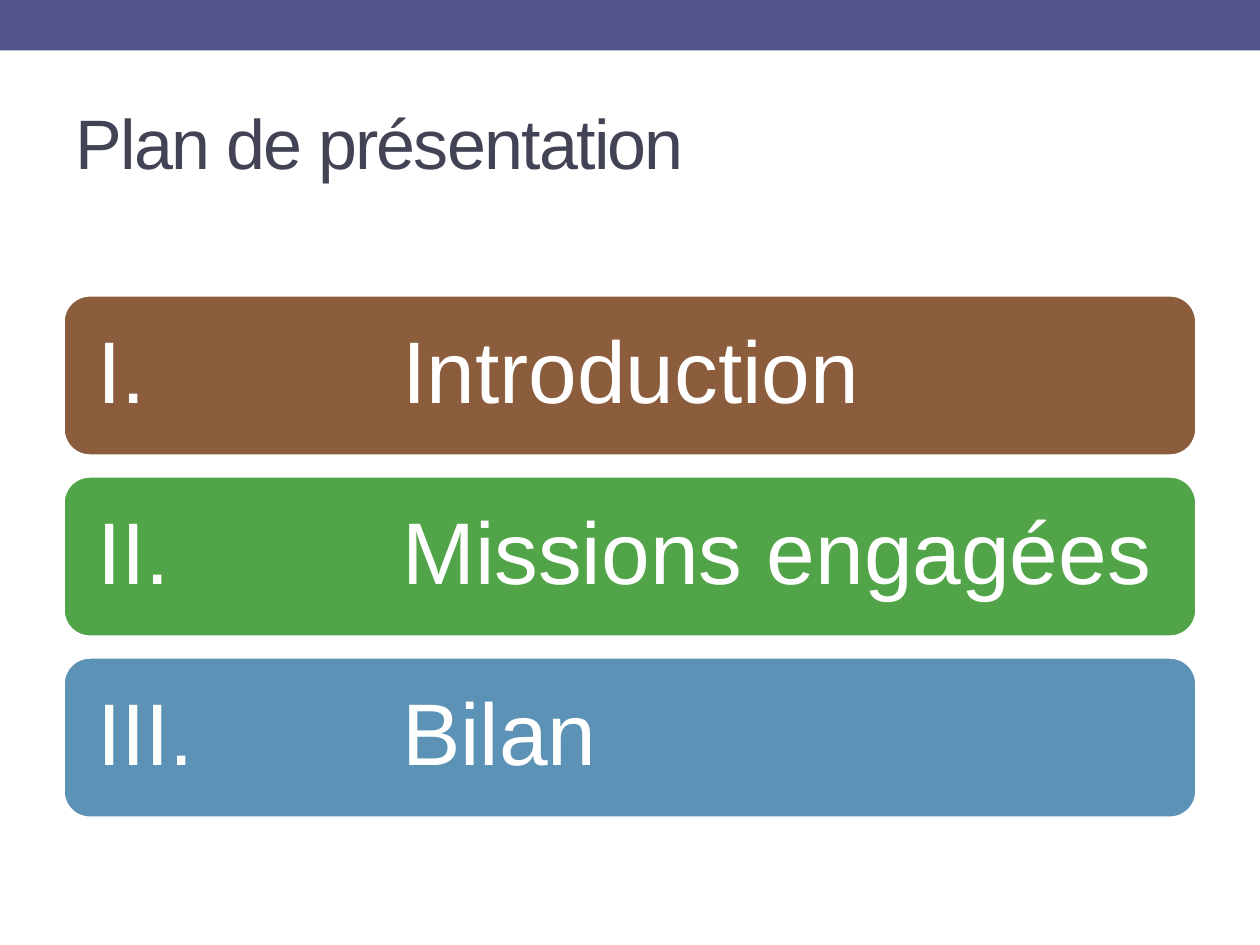
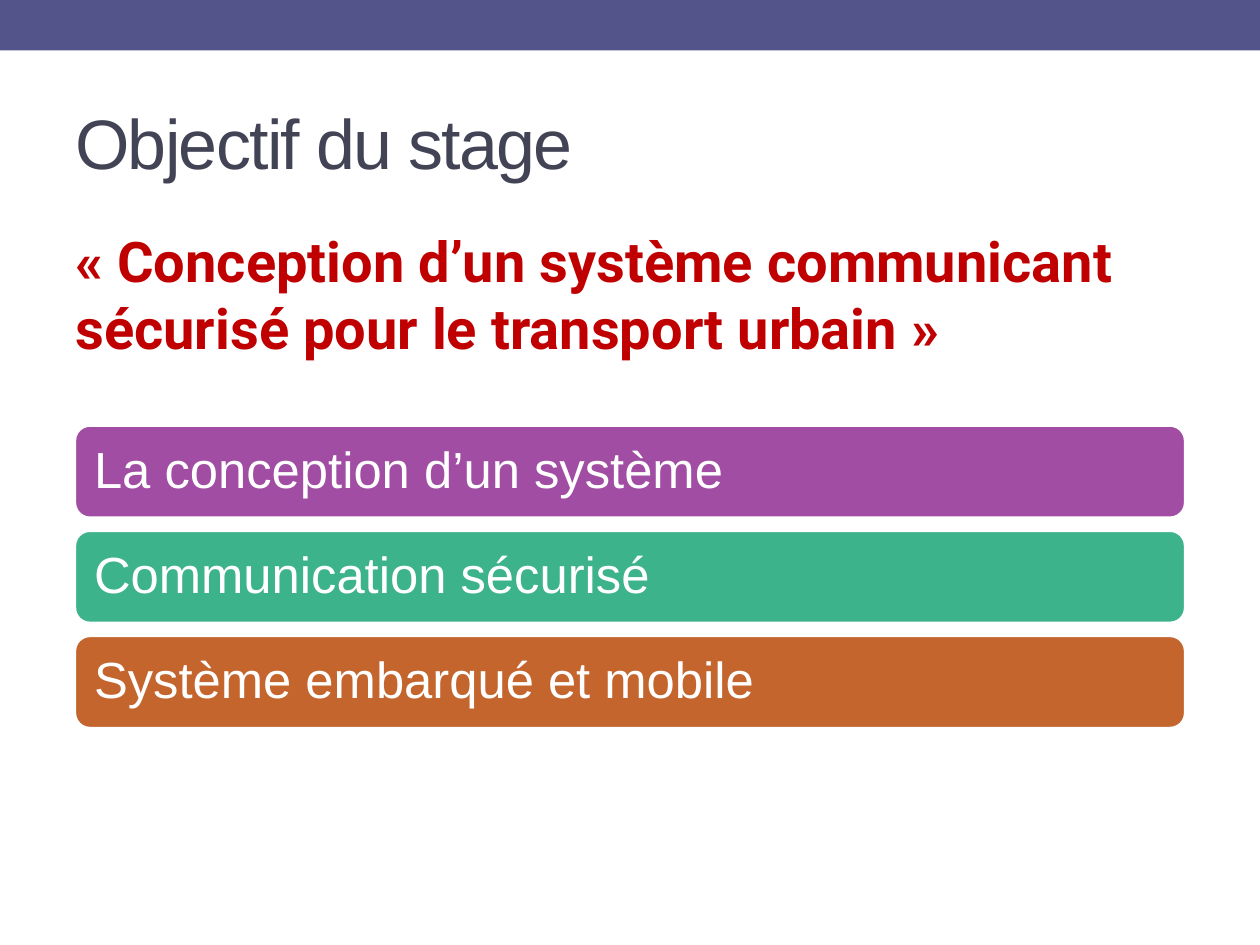
from dataclasses import dataclass

from lxml import etree
from pptx import Presentation
from pptx.dml.color import RGBColor
from pptx.enum.shapes import MSO_SHAPE
from pptx.enum.text import MSO_ANCHOR, PP_ALIGN
from pptx.oxml.ns import qn
from pptx.util import Inches, Pt

RECTANGLE, ROUNDED = MSO_SHAPE.RECTANGLE, MSO_SHAPE.ROUNDED_RECTANGLE
TOP, MIDDLE = MSO_ANCHOR.TOP, MSO_ANCHOR.MIDDLE
LEFT = PP_ALIGN.LEFT

WIDTH, HEIGHT = Inches(10), Inches(7.5)
BLANK_LAYOUT = 6

BAND_COLOR, TITLE_COLOR = "53548A", "424456"
QUOTE_COLOR, WHITE = "C00000", "FFFFFF"


@dataclass(frozen=True)
class Box:
    """A frame in percent of the slide's width and height."""
    left: float
    top: float
    width: float
    height: float

    def frame(self) -> tuple[int, int, int, int]:
        return (int(WIDTH * self.left / 100), int(HEIGHT * self.top / 100),
                int(WIDTH * self.width / 100), int(HEIGHT * self.height / 100))


@dataclass(frozen=True)
class TextStyle:
    size: float
    color: str
    font: str = "Arial"
    bold: bool = False
    tracking: float = 0
    anchor: MSO_ANCHOR = MIDDLE
    line_spacing: float = 1.0
    space_before: float = 0


@dataclass(frozen=True)
class BarList:
    """Equal bars stacked at a constant pitch."""
    first: Box
    pitch: float
    inset: float
    style: TextStyle
    bars: tuple[tuple[str, str], ...]
    tab: float = 0


BAND_BOX = Box(0, 0, 100, 5.33)
TITLE_BOX = Box(5, 7.73, 90, 14.4)
QUOTE_BOX = Box(5, 23.33, 90, 18.27)

TITLE_STYLE = TextStyle(40, TITLE_COLOR, tracking=-1)
QUOTE_STYLE = TextStyle(32, QUOTE_COLOR, "Roboto", bold=True, anchor=TOP, space_before=6.4)

PLAN = BarList(
    Box(5, 31.2, 90, 17.07), 19.16, 0.21, TextStyle(50, WHITE, line_spacing=0.9),
    (("I.\tIntroduction", "8B5D3D"),
     ("II.\tMissions engagées", "52A449"),
     ("III.\tBilan", "5C92B5")),
    tab=2.42)
GOALS = BarList(
    Box(5.9, 44.98, 88.2, 9.87), 11.13, 0.12, TextStyle(29, WHITE, line_spacing=0.9),
    (("La conception d’un système", "A04DA3"),
     ("Communication sécurisé", "3DB38C"),
     ("Système embarqué et mobile", "C4652D")))


def rgb(color: str) -> RGBColor:
    return RGBColor.from_string(color)


def apply(target, values: dict) -> None:
    for name, value in values.items():
        setattr(target, name, value)


def write(shape, text: str, style: TextStyle, insets: tuple[float, float] = (0.1, 0.05)) -> None:
    """Put one styled paragraph in a shape; insets are horizontal and vertical inches."""
    across, down = map(Inches, insets)
    frame = shape.text_frame
    apply(frame, {"word_wrap": True, "vertical_anchor": style.anchor,
                  "margin_left": across, "margin_right": across,
                  "margin_top": down, "margin_bottom": down})
    paragraph = frame.paragraphs[0]
    apply(paragraph, {"alignment": LEFT, "line_spacing": style.line_spacing,
                      "space_before": Pt(style.space_before)})
    run = paragraph.add_run()
    run.text = text
    apply(run.font, {"name": style.font, "size": Pt(style.size), "bold": style.bold})
    run.font.color.rgb = rgb(style.color)
    if style.tracking:
        run._r.get_or_add_rPr().set("spc", str(int(style.tracking * 100)))


def add_text(slide, box: Box, text: str, style: TextStyle) -> None:
    write(slide.shapes.add_textbox(*box.frame()), text, style)


def add_block(slide, kind: MSO_SHAPE, box: Box, color: str):
    shape = slide.shapes.add_shape(kind, *box.frame())
    shape.shadow.inherit = False
    shape.fill.solid()
    shape.fill.fore_color.rgb = rgb(color)
    shape.line.fill.background()
    return shape


def set_tab(paragraph, position: float) -> None:
    tabs = etree.SubElement(paragraph._p.get_or_add_pPr(), qn("a:tabLst"))
    etree.SubElement(tabs, qn("a:tab"), pos=str(Inches(position)), algn="l")


def add_bars(slide, bar_list: BarList) -> None:
    first = bar_list.first
    for row, (text, color) in enumerate(bar_list.bars):
        box = Box(first.left, first.top + row * bar_list.pitch, first.width, first.height)
        bar = add_block(slide, ROUNDED, box, color)
        bar.line.color.rgb = rgb(WHITE)
        bar.line.width = Pt(2.08)
        write(bar, text, bar_list.style, (bar_list.inset, bar_list.inset))
        if bar_list.tab:
            set_tab(bar.text_frame.paragraphs[0], bar_list.tab)


def add_titled_slide(presentation, title: str):
    slide = presentation.slides.add_slide(presentation.slide_layouts[BLANK_LAYOUT])
    add_block(slide, RECTANGLE, BAND_BOX, BAND_COLOR)
    add_text(slide, TITLE_BOX, title, TITLE_STYLE)
    return slide


def main() -> None:
    presentation = Presentation()
    apply(presentation, {"slide_width": WIDTH, "slide_height": HEIGHT})

    # Outline of the talk
    plan_slide = add_titled_slide(presentation, "Plan de présentation")
    add_bars(plan_slide, PLAN)

    # Goal of the internship
    goal_slide = add_titled_slide(presentation, "Objectif du stage")
    add_text(goal_slide, QUOTE_BOX,
             "« Conception d’un système communicant sécurisé pour le transport urbain »",
             QUOTE_STYLE)
    add_bars(goal_slide, GOALS)

    presentation.save("out.pptx")


if __name__ == "__main__":
    main()
